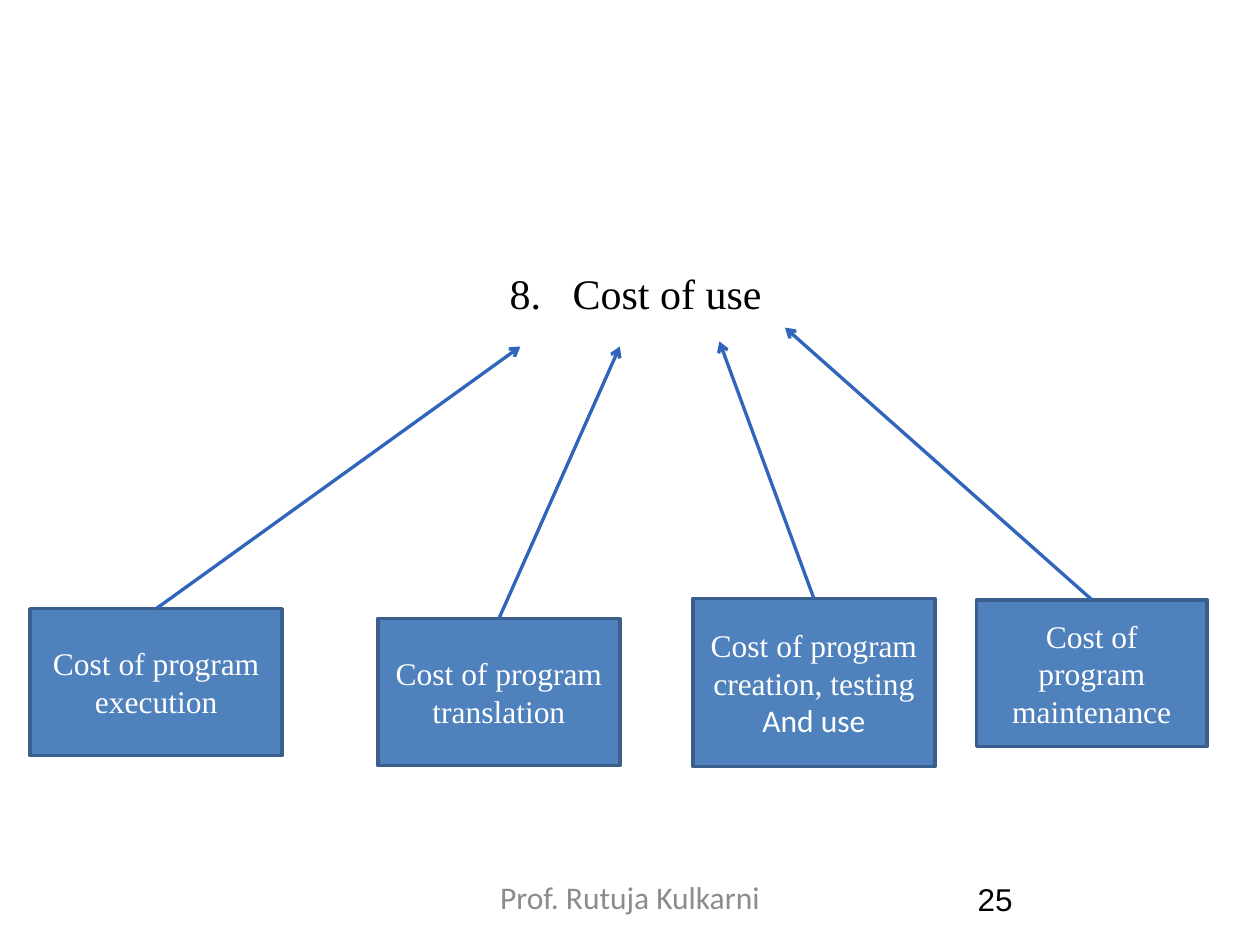
from lxml.etree import SubElement
from pptx import Presentation
from pptx.dml.color import RGBColor
from pptx.enum.shapes import MSO_CONNECTOR, MSO_SHAPE
from pptx.enum.text import MSO_ANCHOR, MSO_AUTO_SIZE, PP_ALIGN
from pptx.oxml.ns import qn
from pptx.util import Pt

BLACK = RGBColor(0x00, 0x00, 0x00)
WHITE = RGBColor(0xFF, 0xFF, 0xFF)
GRAY = RGBColor(0x8C, 0x8C, 0x8C)
BOX_FILL = RGBColor(0x4F, 0x81, 0xBD)
BOX_LINE = RGBColor(0x3A, 0x5F, 0x8C)
ARROW_BLUE = RGBColor(0x31, 0x65, 0xBB)
SERIF = "Times New Roman"

# Each cost: left, top, width, height; arrow tip; lines of (text, font)
COSTS = [
    ((17.3, 347.8, 144, 84), (297.4, 198), [("Cost of program execution", SERIF)]),
    ((216, 353.5, 138.2, 84), (354.2, 198), [("Cost of program translation", SERIF)]),
    ((396, 342, 138.2, 96), (411.1, 195.1),
     [("Cost of program creation, testing", SERIF), ("And use", "Calibri")]),
    ((558, 342.7, 131.8, 84), (448.6, 187.2), [("Cost of program maintenance", SERIF)]),
]


def add_span(para, text, font, size, color):
    span = para.add_run()
    span.text = text
    span.font.name = font
    span.font.size = Pt(size)
    span.font.color.rgb = color


def clear_margins(frame):
    frame.margin_left = frame.margin_top = frame.margin_right = frame.margin_bottom = 0


def add_heading(page, text, number):
    """Fill the body placeholder with one numbered, centred item."""
    body = page.placeholders[1]
    body.left, body.top, body.width, body.height = Pt(12.2), Pt(138.2), Pt(702), Pt(131)
    frame = body.text_frame
    clear_margins(frame)
    frame.auto_size = MSO_AUTO_SIZE.NONE
    para = frame.paragraphs[0]
    para.alignment = PP_ALIGN.CENTER
    para.line_spacing = 1.5
    para.space_before = Pt(0)
    settings = para._p.get_or_add_pPr()
    settings.set("marL", str(Pt(36)))
    settings.set("indent", str(-Pt(36)))
    SubElement(settings, qn("a:buFont"), typeface=SERIF)
    SubElement(settings, qn("a:buAutoNum"), type="arabicPeriod", startAt=str(number))
    add_span(para, text, SERIF, 24, BLACK)


def add_cost_box(page, bounds, lines):
    box = page.shapes.add_shape(MSO_SHAPE.RECTANGLE, *map(Pt, bounds))
    box.shadow.inherit = False
    box.fill.solid()
    box.fill.fore_color.rgb = BOX_FILL
    box.line.color.rgb = BOX_LINE
    box.line.width = Pt(2)
    frame = box.text_frame
    frame.word_wrap = True
    frame.vertical_anchor = MSO_ANCHOR.MIDDLE
    for index, (text, font) in enumerate(lines):
        para = frame.add_paragraph() if index else frame.paragraphs[0]
        para.alignment = PP_ALIGN.CENTER
        add_span(para, text, font, 18, WHITE)
    return box


def add_arrow(page, box, tip):
    """Draw an arrow from the top middle of a box to the tip."""
    end_x, end_y = map(Pt, tip)
    arrow = page.shapes.add_connector(
        MSO_CONNECTOR.STRAIGHT, box.left + box.width // 2, box.top, end_x, end_y)
    arrow.begin_connect(box, 0)
    arrow.line.color.rgb = ARROW_BLUE
    arrow.line.width = Pt(1.89)
    SubElement(arrow.line._get_or_add_ln(), qn("a:tailEnd"), type="arrow")
    SubElement(arrow._element.spPr, qn("a:effectLst"))


def add_label(page, bounds, text, font, color, alignment):
    box = page.shapes.add_textbox(*map(Pt, bounds))
    frame = box.text_frame
    frame.word_wrap = True
    clear_margins(frame)
    para = frame.paragraphs[0]
    para.alignment = alignment
    add_span(para, text, font, 18, color)
    return para


def main():
    deck = Presentation()
    deck.slide_width, deck.slide_height = Pt(720), Pt(540)
    page = deck.slides.add_slide(deck.slide_layouts[1])

    # Heading, with the unused title removed
    title = page.shapes.title._element
    title.getparent().remove(title)
    add_heading(page, "Cost of use", 8)

    # Cost boxes and their arrows
    for bounds, tip, lines in COSTS:
        box = add_cost_box(page, bounds, lines)
        add_arrow(page, box, tip)

    # Footer and page number
    add_label(page, (244.8, 501.8, 230.4, 27.4), "Prof. Rutuja Kulkarni",
              "Calibri", GRAY, PP_ALIGN.CENTER)
    number = add_label(page, (555.8, 503.3, 25.9, 22.3), "25", "Arial", BLACK, PP_ALIGN.LEFT)
    number.line_spacing = Pt(20.9)
    number._p.get_or_add_pPr().set("marL", str(Pt(2.9)))

    deck.save("out.pptx")


if __name__ == "__main__":
    main()
